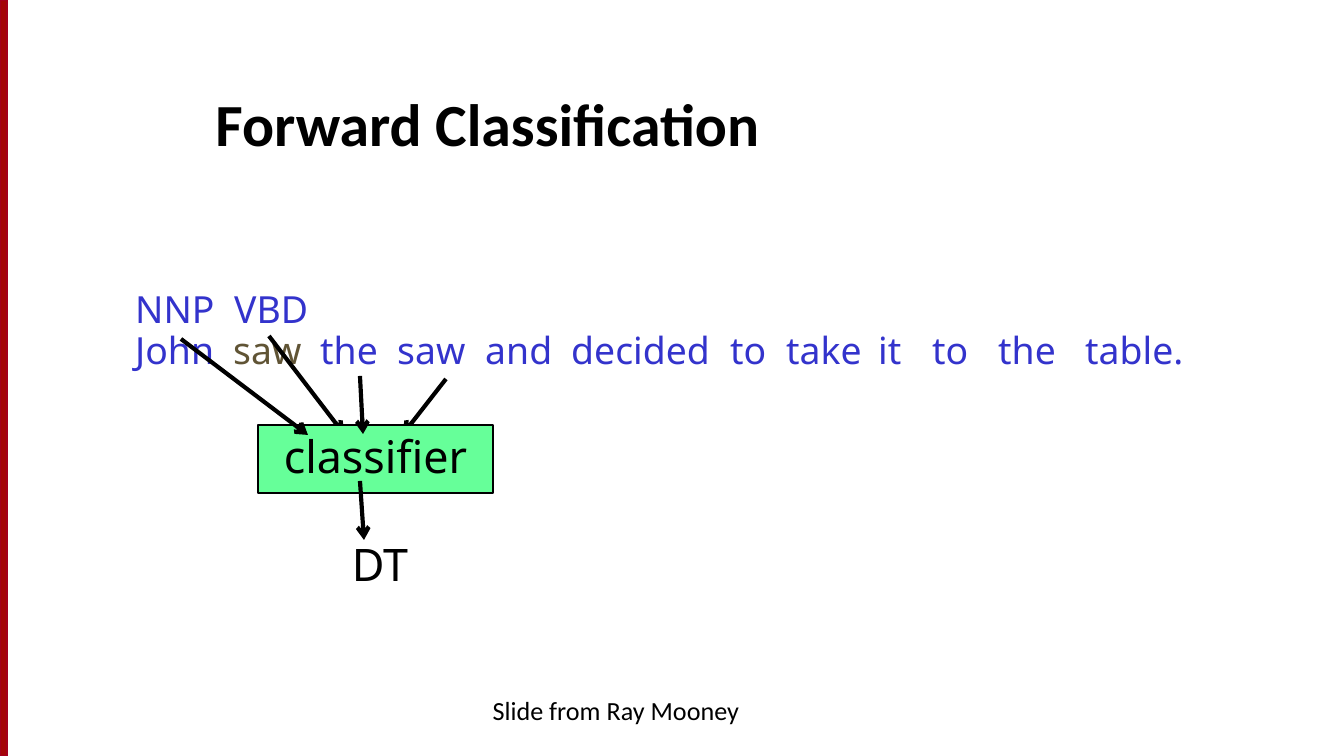
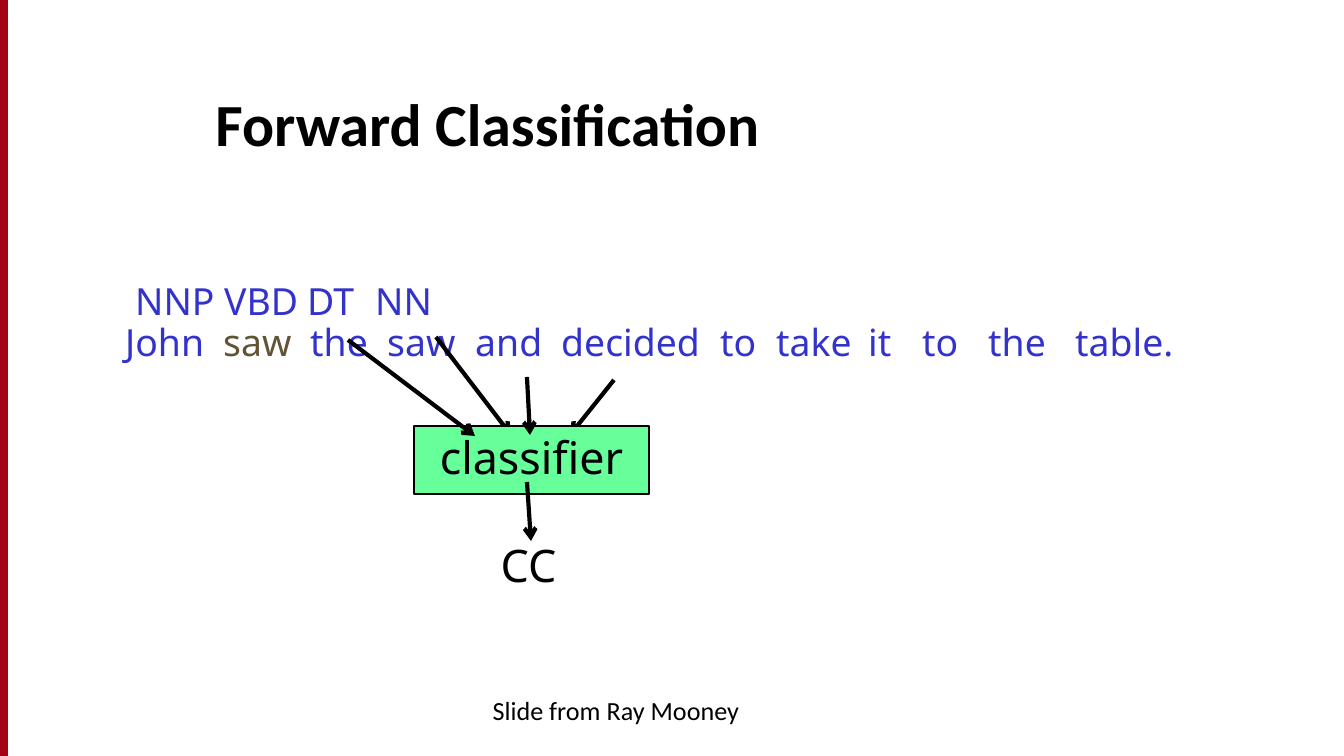
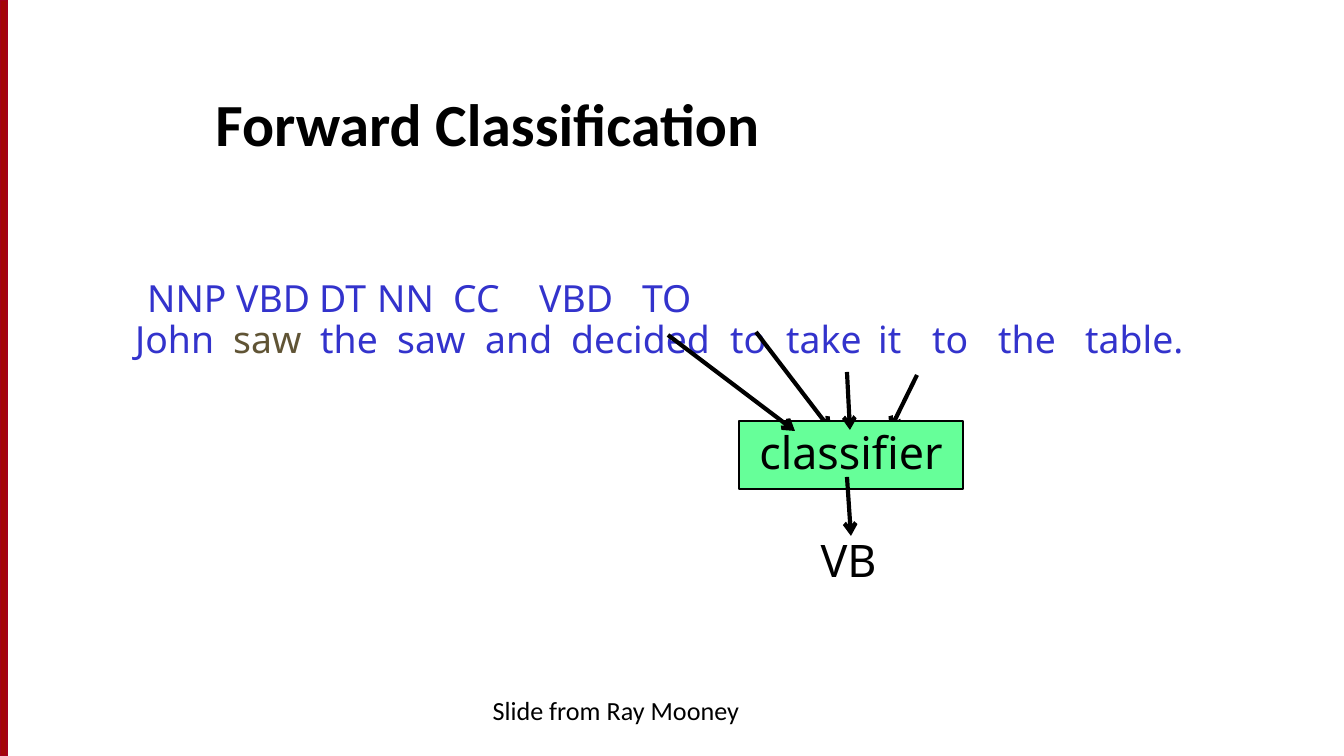
from collections import namedtuple

from lxml.etree import SubElement
from pptx import Presentation
from pptx.dml.color import RGBColor
from pptx.enum.shapes import MSO_CONNECTOR, MSO_SHAPE
from pptx.enum.text import MSO_ANCHOR, MSO_AUTO_SIZE, PP_ALIGN
from pptx.oxml.ns import qn
from pptx.util import Emu, Pt

BLACK = RGBColor(0x00, 0x00, 0x00)
BLUE = RGBColor(0x33, 0x33, 0xCC)
BROWN = RGBColor(0x60, 0x54, 0x35)
GREEN = RGBColor(0x66, 0xFF, 0x99)
BAND_FILL = RGBColor(0xA4, 0x05, 0x08)
BAND_LINE = RGBColor(0xA4, 0x00, 0x1D)

HEADING_FONT = "Calibri"
DIAGRAM_FONT = "Noto Sans"
TIGHT = 0.9

SLIDE_WIDTH, SLIDE_HEIGHT = 1344, 756
TITLE_BOX = (202, 56, 1098, 109)
CREDIT_BOX = (403, 688, 426, 51)

WORDS = "John saw the saw and decided to take it to the table.".split()
WORD_STOPS = [0, 98, 185, 262, 350, 436, 595, 651, 743, 797, 863, 950]
HIGHLIGHTED_WORD = 1

# Arrow ends are measured from the centre arrow and the top of the classifier.
Step = namedtuple(
    "Step",
    "sentence_at tags tag_stops arrow_x top box_left box_width "
    "next_word_x result result_left result_width",
)
STEPS = [
    Step((122, 285), ["NNP", "VBD"], [0, 99],
         360, 425, -102, 235, 86, "DT", -48, 136),
    Step((112, 277), ["NNP", "VBD", "DT", "NN"], [10, 99, 182, 250],
         527, 426, -113, 235, 87, "CC", -50, 103),
    Step((122, 274), ["NNP", "VBD", "DT", "NN", "CC", "VBD", "TO"],
         [12, 101, 184, 242, 318, 404, 507],
         847, 421, -108, 224, 70, "VB", -50, 103),
]


def px(length):
    return Emu(round(length * 914400 / 134.4))


def box_of(left, top, width, height):
    return [px(length) for length in (left, top, width, height)]


def add_run(paragraph, text, *, size, font, color=BLACK, bold=False):
    run = paragraph.add_run()
    run.text = text
    run.font.size = Pt(size)
    run.font.name = font
    run.font.color.rgb = color
    run.font.bold = bold


def write(shape, text, *, align=PP_ALIGN.LEFT, anchor=MSO_ANCHOR.TOP,
          line_spacing=1.0, **run_format):
    frame = shape.text_frame
    frame.word_wrap = True
    frame.auto_size = MSO_AUTO_SIZE.NONE
    frame.vertical_anchor = anchor
    paragraph = frame.paragraphs[0]
    paragraph.alignment = align
    paragraph.line_spacing = line_spacing
    add_run(paragraph, text, **run_format)


def add_label(slide, box, text, **text_format):
    label = slide.shapes.add_textbox(*box_of(*box))
    write(label, text, align=PP_ALIGN.CENTER, **text_format)


def add_rectangle(slide, box, fill, line, line_width):
    rectangle = slide.shapes.add_shape(MSO_SHAPE.RECTANGLE, *box_of(*box))
    rectangle.shadow.inherit = False
    rectangle.fill.solid()
    rectangle.fill.fore_color.rgb = fill
    rectangle.line.color.rgb = line
    rectangle.line.width = Pt(line_width)
    return rectangle


def add_arrow(slide, start, end):
    arrow = slide.shapes.add_connector(
        MSO_CONNECTOR.STRAIGHT, *[px(value) for value in (*start, *end)])
    arrow.line.color.rgb = BLACK
    arrow.line.width = Pt(2.25)
    SubElement(arrow.line._get_or_add_ln(), qn("a:tailEnd"), type="arrow")
    SubElement(arrow.element.spPr, qn("a:effectLst"))


def move_band_to_master(slide, master):
    """Draw the edge band and let every slide share it."""
    band = add_rectangle(slide, (0, 0, 7, SLIDE_HEIGHT),
                         BAND_FILL, BAND_LINE, 0.75)
    band.element.nvSpPr.cNvPr.set("id", "99")
    master.shapes.element.append(band.element)


def add_title_and_credit(slide):
    write(slide.shapes.title, "Forward Classification", size=32,
          font=HEADING_FONT, bold=True, anchor=MSO_ANCHOR.BOTTOM)
    add_label(slide, CREDIT_BOX, "Slide from Ray Mooney",
              size=14, font=HEADING_FONT)


def fill_tabbed_line(paragraph, words, stops, highlighted=None):
    """Start each word at its own tab stop."""
    paragraph.line_spacing = TIGHT
    tab_list = SubElement(paragraph._p.get_or_add_pPr(), qn("a:tabLst"))
    for stop in filter(None, stops):
        SubElement(tab_list, qn("a:tab"), pos=str(px(stop)), algn="l")
    for index, (word, stop) in enumerate(zip(words, stops)):
        add_run(paragraph, "\t" + word if stop else word, size=20,
                font=DIAGRAM_FONT,
                color=BROWN if index == highlighted else BLUE)


def add_sentence(slide, step):
    left, top = step.sentence_at
    sentence = slide.shapes.add_textbox(*box_of(left, top, 1157, 105))
    frame = sentence.text_frame
    frame.word_wrap = True
    fill_tabbed_line(frame.paragraphs[0], step.tags, step.tag_stops)
    fill_tabbed_line(frame.add_paragraph(), WORDS, WORD_STOPS,
                     HIGHLIGHTED_WORD)


def add_classifier(slide, step):
    x, y = step.arrow_x, step.top

    def arrow(start_x, start_y, end_x, end_y):
        add_arrow(slide, (x + start_x, y + start_y), (x + end_x, y + end_y))

    arrow(-91, -89, -16, 9)
    arrow(step.next_word_x, -46, 43, 9)
    classifier = add_rectangle(
        slide, (x + step.box_left, y, step.box_width, 68), GREEN, BLACK, 1)
    write(classifier, "classifier", size=24, font=DIAGRAM_FONT,
          align=PP_ALIGN.CENTER, anchor=MSO_ANCHOR.MIDDLE,
          line_spacing=TIGHT)
    arrow(0, -49, 3, 9)
    arrow(0, 56, 4, 115)
    add_label(slide, (x + step.result_left, y + 111, step.result_width, 68),
              step.result, size=24, font=DIAGRAM_FONT, line_spacing=TIGHT)
    arrow(-179, -86, -52, 10)


def main():
    presentation = Presentation()
    presentation.slide_width = px(SLIDE_WIDTH)
    presentation.slide_height = px(SLIDE_HEIGHT)
    layout = presentation.slide_layouts.get_by_name("Title Only")
    title = layout.placeholders[0]
    title.left, title.top, title.width, title.height = box_of(*TITLE_BOX)

    for number, step in enumerate(STEPS):
        slide = presentation.slides.add_slide(layout)
        if number == 0:
            move_band_to_master(slide, presentation.slide_master)
        add_title_and_credit(slide)
        add_sentence(slide, step)
        add_classifier(slide, step)
    presentation.save("out.pptx")


if __name__ == "__main__":
    main()
